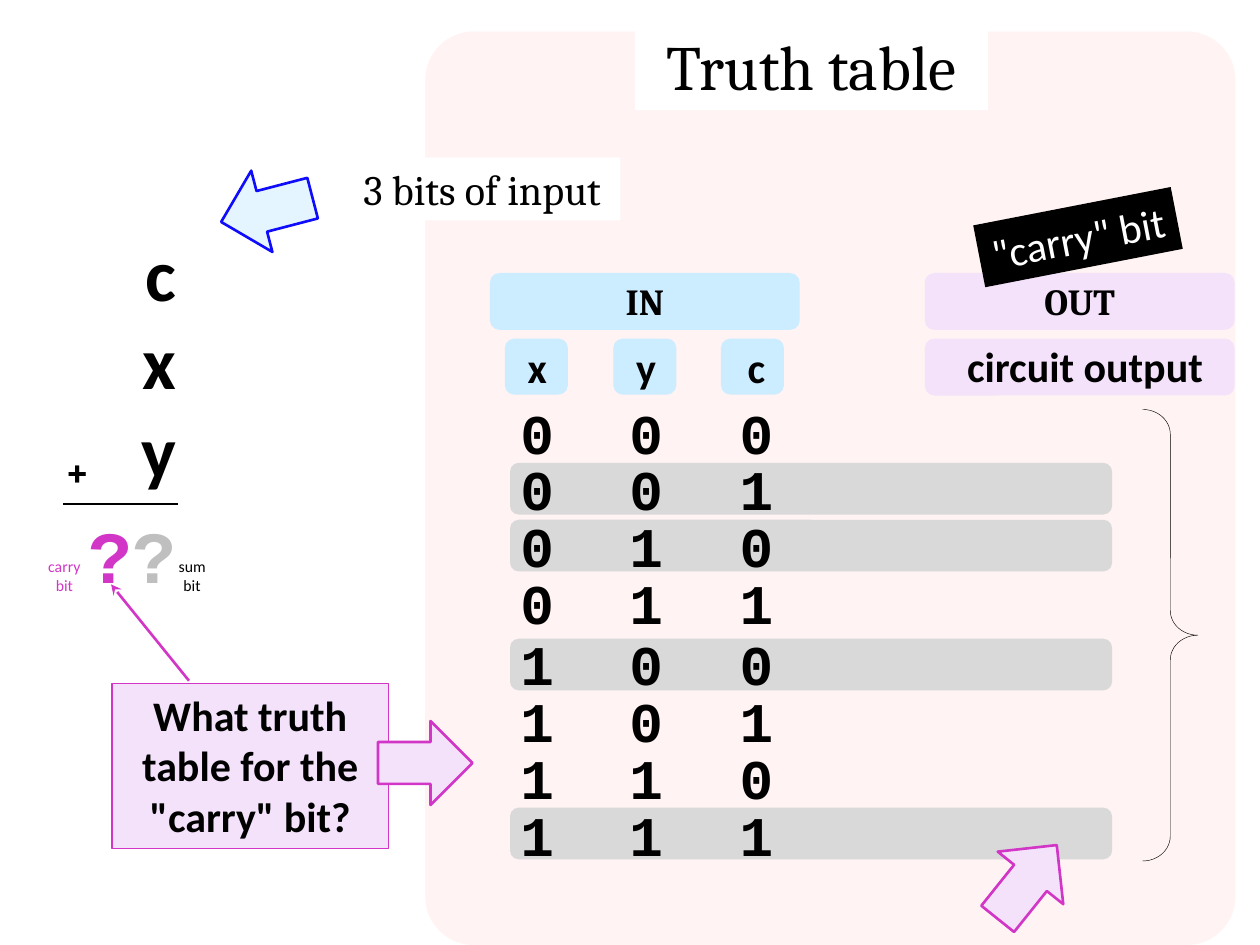
from lxml.etree import SubElement
from pptx import Presentation
from pptx.dml.color import RGBColor
from pptx.enum.shapes import MSO_CONNECTOR, MSO_SHAPE as SHAPE
from pptx.enum.text import MSO_ANCHOR as ANCHOR, MSO_AUTO_SIZE, PP_ALIGN as ALIGN
from pptx.oxml.ns import qn
from pptx.util import Pt

rgb = RGBColor.from_string
BLACK, WHITE = "000000", "FFFFFF"
MAGENTA, LILAC, SKY, GRAY = "D236C7", "F3E2FA", "CCECFF", "D9D9D9"

prs = Presentation()
prs.slide_width, prs.slide_height = Pt(720), Pt(540)
s = prs.slides.add_slide(prs.slide_layouts[6])


def shape(kind, x, y, w, h, fill=None, line=None, weight=1.5, angle=0):
    """Add a preset shape."""
    sp = s.shapes.add_shape(kind, Pt(x), Pt(y), Pt(w), Pt(h))
    sp.shadow.inherit = False
    sp.rotation = angle
    if fill:
        sp.fill.solid()
        sp.fill.fore_color.rgb = rgb(fill)
    else:
        sp.fill.background()
    if line:
        sp.line.color.rgb = rgb(line)
        sp.line.width = Pt(weight)
    else:
        sp.line.fill.background()
    return sp


def write(target, paragraphs, size, font="Calibri", bold=False,
          align=ALIGN.CENTER, wrap=True):
    """Write paragraphs of (text, colour) runs into a shape or a new box at x, y, w, h."""
    if isinstance(target, tuple):
        target = s.shapes.add_textbox(*map(Pt, target))
    tf = target.text_frame
    tf.word_wrap = wrap
    tf.auto_size = MSO_AUTO_SIZE.SHAPE_TO_FIT_TEXT
    tf.vertical_anchor = ANCHOR.TOP
    for i, runs in enumerate(paragraphs):
        p = tf.add_paragraph() if i else tf.paragraphs[0]
        p.alignment = align
        for text, color in runs:
            r = p.add_run()
            r.text = text
            r.font.name, r.font.size, r.font.bold = font, Pt(size), bold
            r.font.color.rgb = rgb(color)
    return tf


# Panel and title
panel = shape(SHAPE.ROUNDED_RECTANGLE, 243, 18, 463, 522, "FFF3F3")
panel.adjustments[0] = 0.06
title = shape(SHAPE.RECTANGLE, 363, 12, 201.5, 51, WHITE)
write(title, [[("Truth table", BLACK)]], 36, "Cambria")

# Column addition: c + x + y
tf = write((30, 126, 78, 160), [[(bit, BLACK)] for bit in "cxy"], 42,
           bold=True, align=ALIGN.RIGHT)
tf.vertical_anchor = ANCHOR.MIDDLE
write((30, 250.5, 28, 36), [[("+", BLACK)]], 24, "Cambria", True, wrap=False)
write((42.5, 288, 65.5, 58), [[("?", MAGENTA), ("?", "BFBFBF")]], 42,
      "Courier New", True, ALIGN.RIGHT, wrap=False)
for text, x, color in (("sum bit", 91, BLACK), ("carry bit", 18, MAGENTA)):
    write((x, 314.5, 37.5, 29), [[(text, color)]], 9)

# Input note
shape(SHAPE.RIGHT_ARROW, 125.5, 96, 54, 48, "E5F5FF", "0E0CFB", angle=165.4)
note = shape(SHAPE.RECTANGLE, 196.5, 90, 158, 36, WHITE)
write(note, [[("3 bits of input", BLACK)]], 24, "Cambria", wrap=False)

# Table headings
for text, x, fill in (("IN", 280, SKY), ("OUT", 528.5, LILAC)):
    shape(SHAPE.ROUNDED_RECTANGLE, x, 156, 177, 32.5, fill)
    write((x + 59, 155.5, 59, 32.5), [[(text, BLACK)]], 21, "Cambria", True,
          wrap=False)
shape(SHAPE.ROUNDED_RECTANGLE, 528.5, 193.5, 177, 32.5, LILAC)
write((521, 191, 198, 36), [[("circuit output", BLACK)]], 24, bold=True)

# Highlighted rows
for y in (264.5, 297, 365, 461.5):
    shape(SHAPE.ROUNDED_RECTANGLE, 291.5, y, 344, 29.5, GRAY)

# Input columns: the bit of row i at place 2, 1 or 0
columns = (("x", 277, 60, 288.5, 2), ("y", 337.5, 63.5, 350.5, 1),
           ("c", 400.5, 63.5, 412, 0))
for name, x, w, tab_x, place in columns:
    shape(SHAPE.ROUNDED_RECTANGLE, tab_x, 193.5, 36, 32, SKY)
    write((x, 191.5, w, 36), [[(name, BLACK)]], 24, bold=True)
    for i in range(8):
        y = 224 + 32.4 * i + (2.8 if i >= 4 else 0)
        write((x, y, w, 45.5), [[(str(i >> place & 1), BLACK)]], 32,
              "Courier New", True)

# Output brace and carry label
brace = shape(SHAPE.RIGHT_BRACE, 653, 234, 31.5, 258, line=BLACK, weight=0.25)
brace.adjustments[0] = 0.45
shape(SHAPE.RIGHT_ARROW, 560, 480, 54, 48, LILAC, MAGENTA, angle=308.7)
label = shape(SHAPE.RECTANGLE, 558.5, 117.5, 115, 36, BLACK, angle=349)
write(label, [[('"carry" bit', WHITE)]], 24, wrap=False)

# Question
question = shape(SHAPE.RECTANGLE, 64, 390.5, 158, 94.5, LILAC, MAGENTA, 0.75)
write(question, [[('What truth table for the "carry" bit?', BLACK)]], 24, bold=True)
shape(SHAPE.RIGHT_ARROW, 216, 412, 54, 48, LILAC, MAGENTA)

# Sum line and pointer to the carry bit
for x1, y1, x2, y2, color, head in ((36, 288, 102, 288, BLACK, None),
                                    (108, 389, 63.5, 334, MAGENTA, "stealth")):
    cn = s.shapes.add_connector(MSO_CONNECTOR.STRAIGHT, Pt(x1), Pt(y1), Pt(x2), Pt(y2))
    cn.line.color.rgb = rgb(color)
    cn.line.width = Pt(1.5)
    if head:
        SubElement(cn.line._get_or_add_ln(), qn("a:tailEnd"), type=head)
    SubElement(cn._element.spPr, qn("a:effectLst"))

prs.save("out.pptx")
